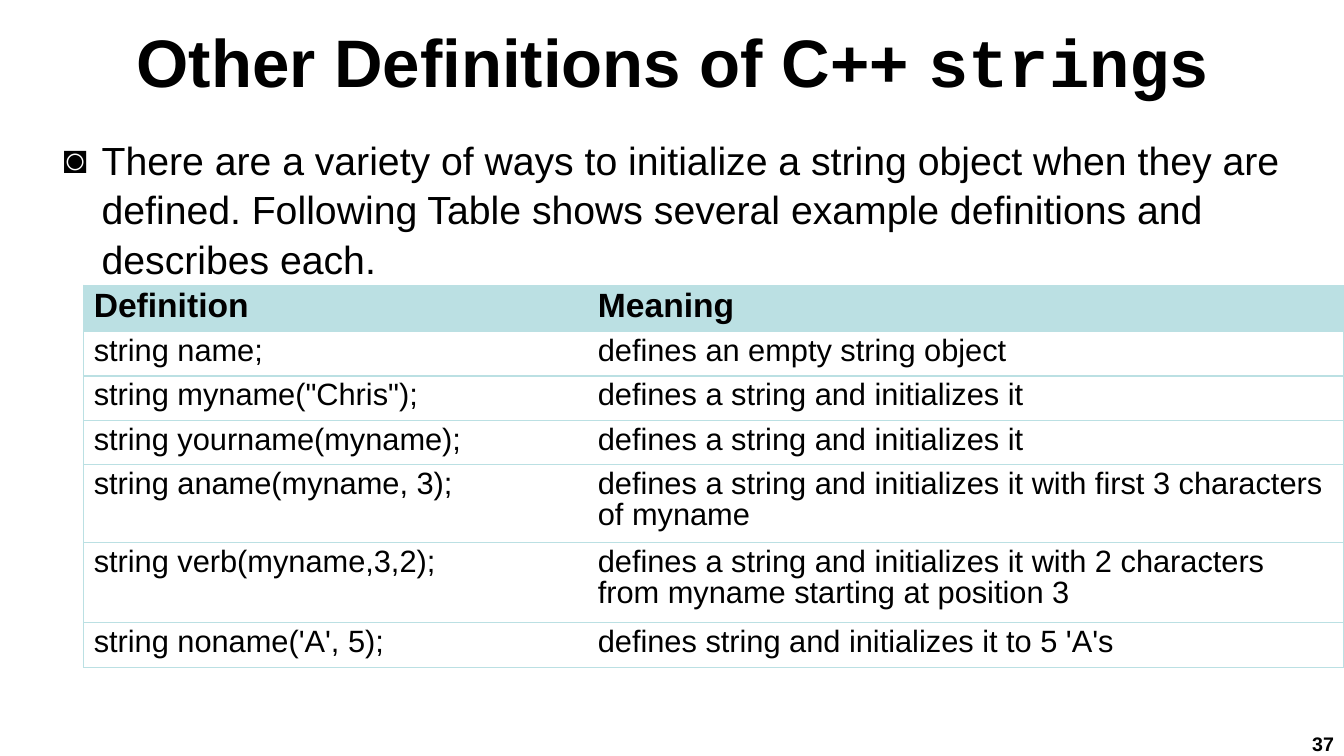
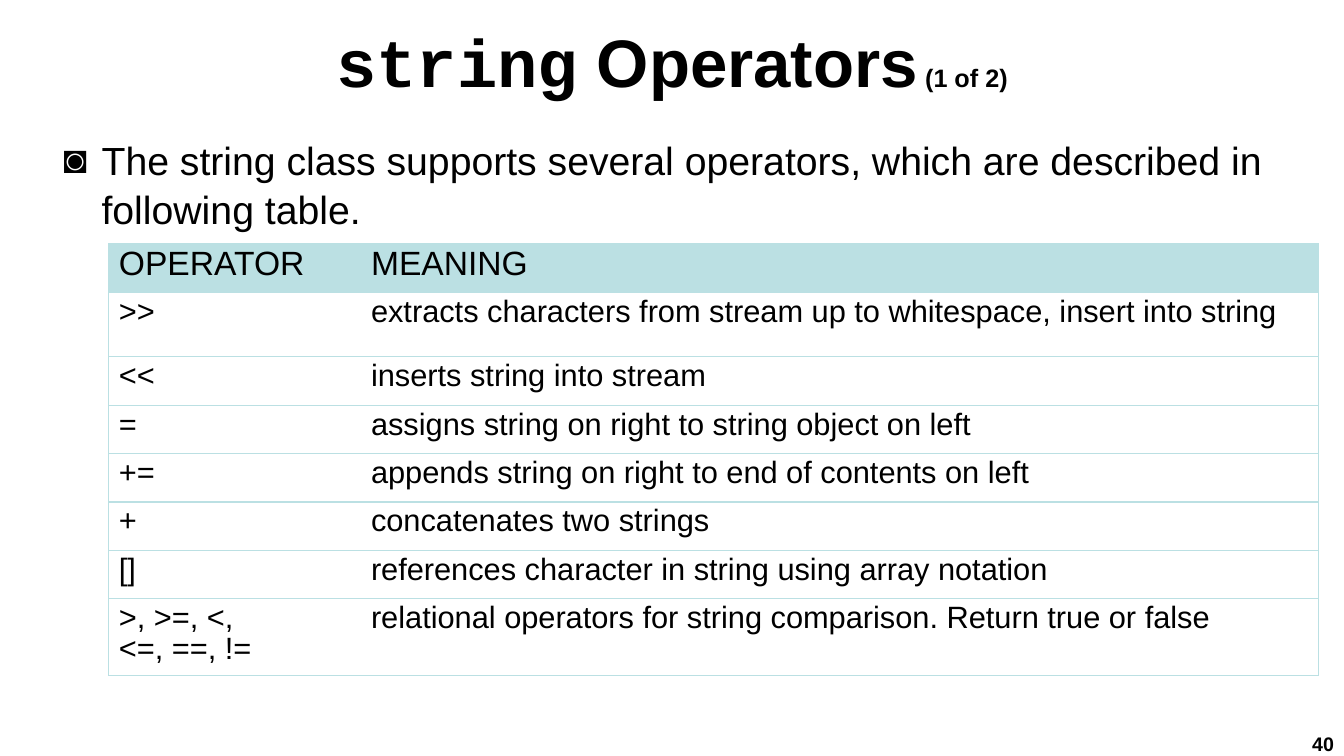
from lxml import etree
from pptx import Presentation
from pptx.dml.color import RGBColor
from pptx.enum import text as te
from pptx.oxml import ns
from pptx.util import Inches, Pt

# Shared look
HUES = {"ink": "000000", "head": "BBE0E3", "cell": "FFFFFF", "line": "BBE0E3"}
SANS, MONO = "Arial", "Courier New"
SIZE = (13.33, 7.5)
TITLE = (0, 0, 13.33, 1.2)
BODY = (0.53, 1.28, 12.8, 6)
FOOT = (12.73, 7.25, 0.6, 0.25)
STEP = 0.38
BULLET = "◙"

# Content: title runs are (text, font, size)
SLIDES = [
    {
        "title": [("Other Definitions of C++ ", SANS, 48), ("string", MONO, 48),
                  ("s", SANS, 48)],
        "body": "There are a variety of ways to initialize a string object when "
                "they are defined. Following Table shows several example "
                "definitions and describes each.",
        "page": "37",
        "spot": (0.83, 2.83),
        "cols": [5, 7.5],
        "high": [0.44, 0.44, 0.44, 0.44, 0.77, 0.8, 0.44],
        "bold": True,
        "rows": [
            ("Definition", "Meaning"),
            ("string name;", "defines an empty string object"),
            ('string myname("Chris");', "defines a string and initializes it"),
            ("string yourname(myname);", "defines a string and initializes it"),
            ("string aname(myname, 3);",
             "defines a string and initializes it with first 3 characters of myname"),
            ("string verb(myname,3,2);",
             "defines a string and initializes it with 2 characters from myname "
             "starting at position 3"),
            ("string noname('A', 5);", "defines string and initializes it to 5 'A's"),
        ],
    },
    {
        "title": [("string", MONO, 48), (" Operators", SANS, 48),
                  (" (1 of 2)", SANS, 18)],
        "body": "The string class supports several operators, which are described "
                "in following table.",
        "page": "40",
        "spot": (1.08, 2.42),
        "cols": [2.5, 9.5],
        "high": [0.48, 0.64, 0.48, 0.48, 0.48, 0.48, 0.48, 0.69],
        "bold": False,
        "rows": [
            ("OPERATOR", "MEANING"),
            (">>", "extracts characters from stream up to whitespace, insert into string"),
            ("<<", "inserts string into stream"),
            ("=", "assigns string on right to string object on left"),
            ("+=", "appends string on right to end of contents on left"),
            ("+", "concatenates two strings"),
            ("[]", "references character in string using array notation"),
            (">, >=, <,\n<=, ==, !=",
             "relational operators for string comparison. Return true or false"),
        ],
    },
]


def rgb(key):
    return RGBColor.from_string(HUES[key])


def style(item, **form):
    for key, val in form.items():
        setattr(item, key, val)


def write(par, words, size, bold=False, face=SANS):
    run = par.add_run()
    run.text = words
    style(run.font, name=face, size=Pt(size), bold=bold)
    run.font.color.rgb = rgb("ink")


def place(shape, box):
    for key, val in zip(("left", "top", "width", "height"), box):
        setattr(shape, key, Inches(val))


def add_box(slide, box, anchor):
    shape = slide.shapes.add_textbox(*map(Inches, box))
    style(shape.text_frame, word_wrap=True, vertical_anchor=anchor)
    return shape.text_frame.paragraphs[0]


def add_title(slide, runs):
    shape = slide.shapes.title
    place(shape, TITLE)
    style(shape.text_frame, word_wrap=True, auto_size=te.MSO_AUTO_SIZE.NONE,
          vertical_anchor=te.MSO_ANCHOR.MIDDLE)
    par = shape.text_frame.paragraphs[0]
    par.alignment = te.PP_ALIGN.CENTER
    for words, face, size in runs:
        write(par, words, size, True, face)


def add_body(slide, words):
    par = add_box(slide, BODY, te.MSO_ANCHOR.TOP)
    style(par, space_before=Pt(6), line_spacing=1.05)
    write(par, words, 28)
    # Hanging bullet
    props = par._p.get_or_add_pPr()
    props.set("marL", str(Inches(STEP)))
    props.set("indent", str(-Inches(STEP)))
    hue = etree.SubElement(props, ns.qn("a:buClr"))
    etree.SubElement(hue, ns.qn("a:srgbClr"), val=HUES["ink"])
    etree.SubElement(props, ns.qn("a:buFont"), typeface=SANS)
    etree.SubElement(props, ns.qn("a:buChar"), char=BULLET)


def add_foot(slide, page):
    par = add_box(slide, FOOT, te.MSO_ANCHOR.MIDDLE)
    par.alignment = te.PP_ALIGN.RIGHT
    write(par, page, 14, True)


def add_edges(cell, blank):
    """Rule all sides of a cell except the blank one."""
    props = cell._tc.get_or_add_tcPr()
    for at, side in enumerate(("lnL", "lnR", "lnT", "lnB")):
        line = etree.Element(ns.qn("a:" + side), w=str(Pt(1)))
        if side == blank:
            etree.SubElement(line, ns.qn("a:noFill"))
        else:
            fill = etree.SubElement(line, ns.qn("a:solidFill"))
            etree.SubElement(fill, ns.qn("a:srgbClr"), val=HUES["line"])
        props.insert(at, line)


def add_grid(slide, data):
    rows, cols, high = data["rows"], data["cols"], data["high"]
    box = (*data["spot"], sum(cols), sum(high))
    grid = slide.shapes.add_table(len(rows), len(cols), *map(Inches, box)).table
    style(grid, first_row=False, horz_banding=False)
    for col, wide in zip(grid.columns, cols):
        col.width = Inches(wide)
    for r, (row, tall) in enumerate(zip(rows, high)):
        grid.rows[r].height = Inches(tall)
        for c, words in enumerate(row):
            cell = grid.cell(r, c)
            cell.fill.solid()
            cell.fill.fore_color.rgb = rgb("cell" if r else "head")
            add_edges(cell, "lnL" if c else "lnR")
            frame = cell.text_frame
            for n, part in enumerate(words.split("\n")):
                par = frame.add_paragraph() if n else frame.paragraphs[0]
                par.line_spacing = 0.9
                write(par, part, 22 if r else 24, data["bold"] and r == 0)


def main():
    deck = Presentation()
    style(deck, slide_width=Inches(SIZE[0]), slide_height=Inches(SIZE[1]))
    for data in SLIDES:
        slide = deck.slides.add_slide(deck.slide_layouts[5])
        add_title(slide, data["title"])
        add_body(slide, data["body"])
        add_foot(slide, data["page"])
        add_grid(slide, data)
    deck.save("out.pptx")


if __name__ == "__main__":
    main()
